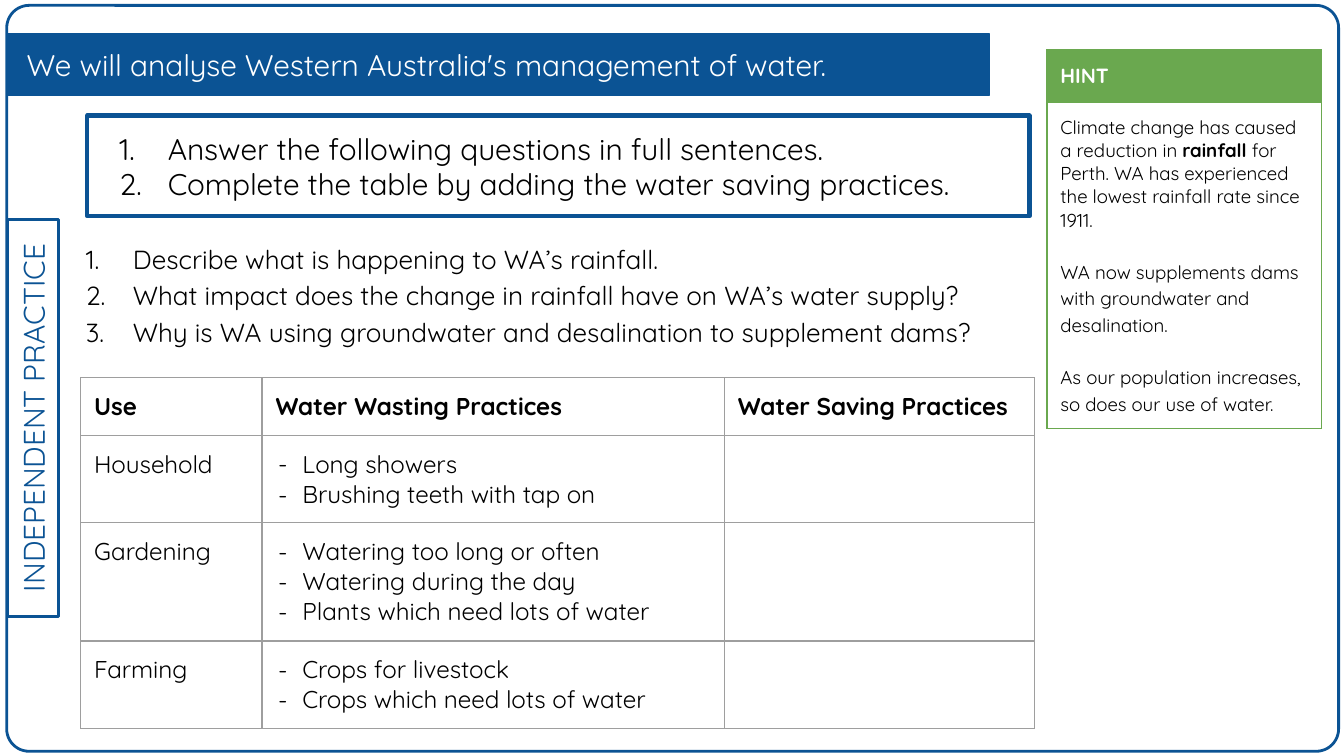
import pptx
import pptx.dml.color
import pptx.enum.shapes
import pptx.enum.text
import pptx.oxml
import pptx.oxml.ns
import pptx.util
from pptx.util import Inches

FONT = "Quicksand"
BLUE, GREEN, GREY = "0B5394", "6AA84F", "9E9E9E"
BLACK, WHITE = "000000", "FFFFFF"
NS = pptx.oxml.ns.nsdecls("a")
PP = pptx.enum.text.PP_ALIGN
MID = pptx.enum.text.MSO_ANCHOR.MIDDLE
SHAPE = pptx.enum.shapes.MSO_SHAPE

USES = [
    ("Household", ["Long showers", "Brushing teeth with tap on"]),
    ("Gardening", ["Watering too long or often", "Watering during the day",
                   "Plants which need lots of water"]),
    ("Farming", ["Crops for livestock", "Crops which need lots of water"]),
]
TASKS = ["Answer the following questions in full sentences.",
         "Complete the table by adding the water saving practices."]
QUESTIONS = [
    "Describe what is happening to WA’s rainfall.",
    "What impact does the change in rainfall have on WA’s water supply?",
    "Why is WA using groundwater and desalination to supplement dams?",
]
FACTS = ["WA now supplements dams with groundwater and desalination.",
         "As our population increases, so does our use of water."]


def color(code):
    return pptx.dml.color.RGBColor.from_string(code)


def pad(frame):
    frame.word_wrap = True
    frame.margin_left = frame.margin_right = Inches(0.1)
    frame.margin_top = frame.margin_bottom = Inches(0.1)


def add_run(para, text, size, code=BLACK, bold=False):
    run = para.add_run()
    run.text = text
    font = run.font
    font.name, font.size, font.bold = FONT, pptx.util.Pt(size), bold
    font.color.rgb = color(code)


def add_para(frame, first):
    return frame.paragraphs[0] if first else frame.add_paragraph()


def add_list(frame, items, size, mark, left, hang, space=1.0):
    """Fill a frame with bulleted lines, hung by the given inches."""
    for i, item in enumerate(items):
        para = add_para(frame, i == 0)
        para.alignment = PP.LEFT
        para.line_spacing = space
        props = para._p.get_or_add_pPr()
        props.set("marL", str(Inches(left)))
        props.set("indent", str(-Inches(hang)))
        for xml in (f'<a:buClr {NS}><a:srgbClr val="{BLACK}"/></a:buClr>',
                    f'<a:buFont {NS} typeface="{FONT}"/>', mark):
            props.append(pptx.oxml.parse_xml(xml))
        add_run(para, item, size)


NUMBER = f'<a:buAutoNum {NS} type="arabicPeriod"/>'
DASH = f'<a:buChar {NS} char="-"/>'


def add_box(slide, kind, box, width, fill=None):
    shape = slide.shapes.add_shape(kind, *map(Inches, box))
    shape.shadow.inherit = False
    if fill:
        shape.fill.solid()
        shape.fill.fore_color.rgb = color(fill)
    else:
        shape.fill.background()
    shape.line.color.rgb = color(BLUE)
    shape.line.width = pptx.util.Pt(width)
    pad(shape.text_frame)
    shape.text_frame.vertical_anchor = MID
    return shape


def add_text(slide, box):
    frame = slide.shapes.add_textbox(*map(Inches, box)).text_frame
    pad(frame)
    return frame


def add_grid(slide, left, top, cols, rows, edge):
    """Add a plain table with thin borders and return it."""
    frame = slide.shapes.add_table(len(rows), len(cols), Inches(left),
                                   Inches(top), Inches(sum(cols)),
                                   Inches(sum(rows)))
    table = frame.table
    table.first_row = table.horz_banding = False
    for col, width in zip(table.columns, cols):
        col.width = Inches(width)
    for row, height in zip(table.rows, rows):
        row.height = Inches(height)
    for cell in table.iter_cells():
        props = cell._tc.get_or_add_tcPr()
        for side in "LRTB":
            props.append(pptx.oxml.parse_xml(
                f'<a:ln{side} {NS} w="9525"><a:solidFill>'
                f'<a:srgbClr val="{edge}"/></a:solidFill></a:ln{side}>'))
        cell.fill.background()
        cell.margin_left = cell.margin_right = Inches(0.1)
        cell.margin_top = cell.margin_bottom = Inches(0.1)
    return table


def add_frame(slide):
    edge = add_box(slide, SHAPE.ROUNDED_RECTANGLE, (0.05, 0.04, 9.91, 5.55), 1.5)
    edge.adjustments[0] = 0.03
    tab = add_box(slide, SHAPE.RECTANGLE, (-1.23, 2.92, 2.95, 0.38), 1.5)
    tab.rotation = 270
    para = tab.text_frame.paragraphs[0]
    para.alignment = PP.CENTER
    add_run(para, "INDEPENDENT PRACTICE", 16, BLUE)


def add_title(slide):
    add_box(slide, SHAPE.RECTANGLE, (0.05, 0.25, 7.31, 0.46), 0.75, BLUE)
    frame = add_text(slide, (0.1, 0.29, 7.21, 0.38))
    frame.vertical_anchor = MID
    add_run(frame.paragraphs[0],
            "We will analyse Western Australia's management of water.", 16, WHITE)


def add_uses(slide):
    table = add_grid(slide, 0.6, 2.81, [1.35, 3.44, 2.31],
                     [0.43, 0.65, 0.88, 0.65], GREY)
    heads = ["Use", "Water Wasting Practices", "Water Saving Practices"]
    for i, head in enumerate(heads):
        add_run(table.cell(0, i).text_frame.paragraphs[0], head, 13, bold=True)
    for i, (use, habits) in enumerate(USES, 1):
        add_run(table.cell(i, 0).text_frame.paragraphs[0], use, 13)
        add_list(table.cell(i, 1).text_frame, habits, 13, DASH, 0.2, 0.18)


def add_hint(slide):
    table = add_grid(slide, 7.79, 0.37, [2.04], [0.39, 2.43], GREEN)
    head, body = table.cell(0, 0), table.cell(1, 0)
    head.fill.solid()
    head.fill.fore_color.rgb = color(GREEN)
    add_run(head.text_frame.paragraphs[0], "HINT", 11, WHITE, True)
    para = body.text_frame.paragraphs[0]
    add_run(para, "Climate change has caused a reduction in ", 10)
    add_run(para, "rainfall ", 10, bold=True)
    add_run(para, "for Perth. WA has experienced the lowest rainfall rate "
                  "since 1911.", 10)
    for fact in FACTS:
        para = body.text_frame.add_paragraph()
        para.line_spacing = 1.15
        para.space_before = pptx.util.Pt(13.5)
        add_run(para, fact, 10)


def main():
    deck = pptx.Presentation()
    deck.slide_width = Inches(10)
    deck.slide_height = deck.slide_width * 9 // 16
    slide = deck.slides.add_slide(deck.slide_layouts[6])
    add_frame(slide)
    add_title(slide)
    add_list(add_text(slide, (0.39, 1.68, 7.31, 3.26)), QUESTIONS, 14, NUMBER,
             0.5, 0.35, 1.15)
    tasks = add_box(slide, SHAPE.RECTANGLE, (0.65, 0.86, 7.01, 0.75), 2.25)
    add_list(tasks.text_frame, TASKS, 16, NUMBER, 0.5, 0.36)
    add_uses(slide)
    add_hint(slide)
    deck.save("out.pptx")


if __name__ == "__main__":
    main()
